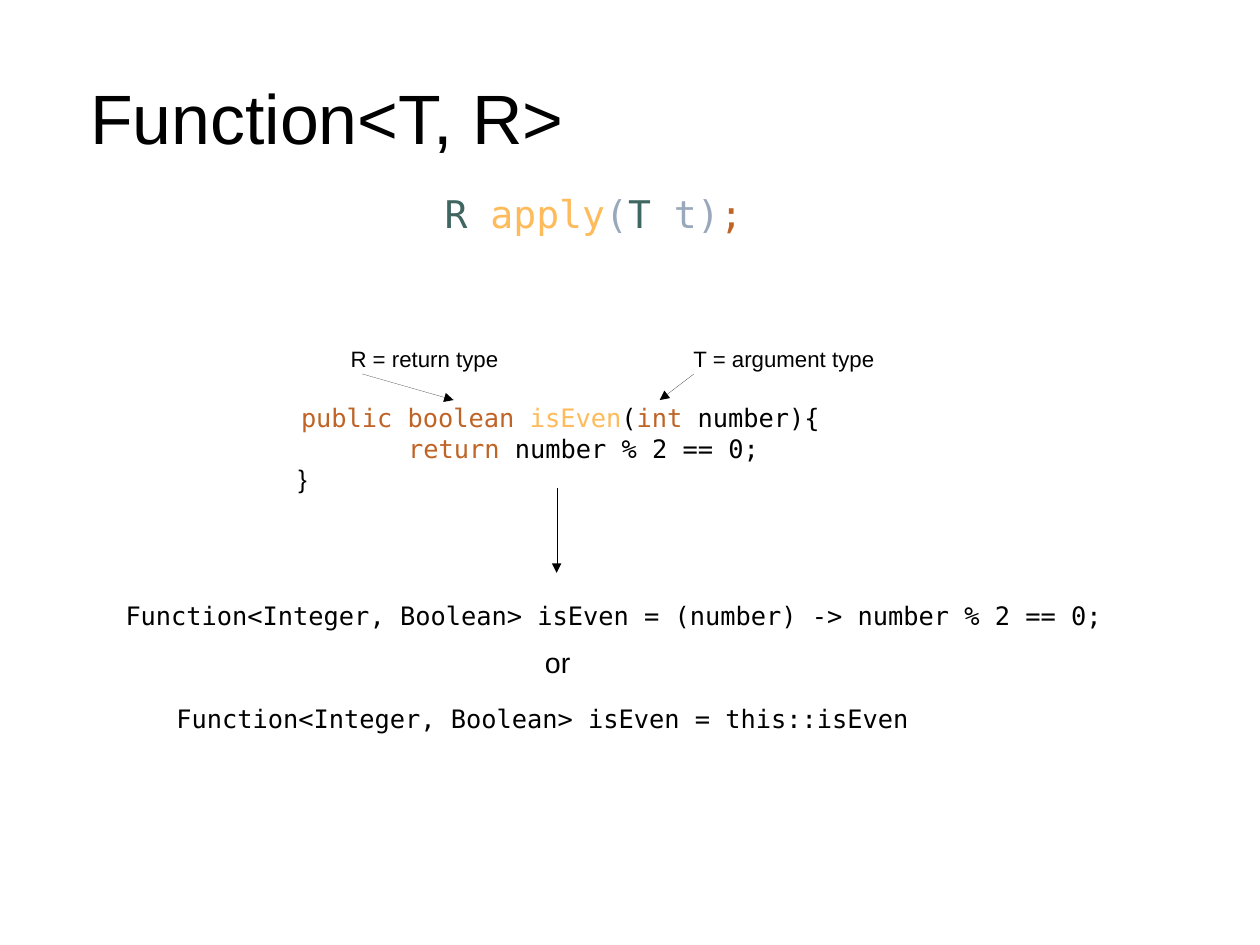
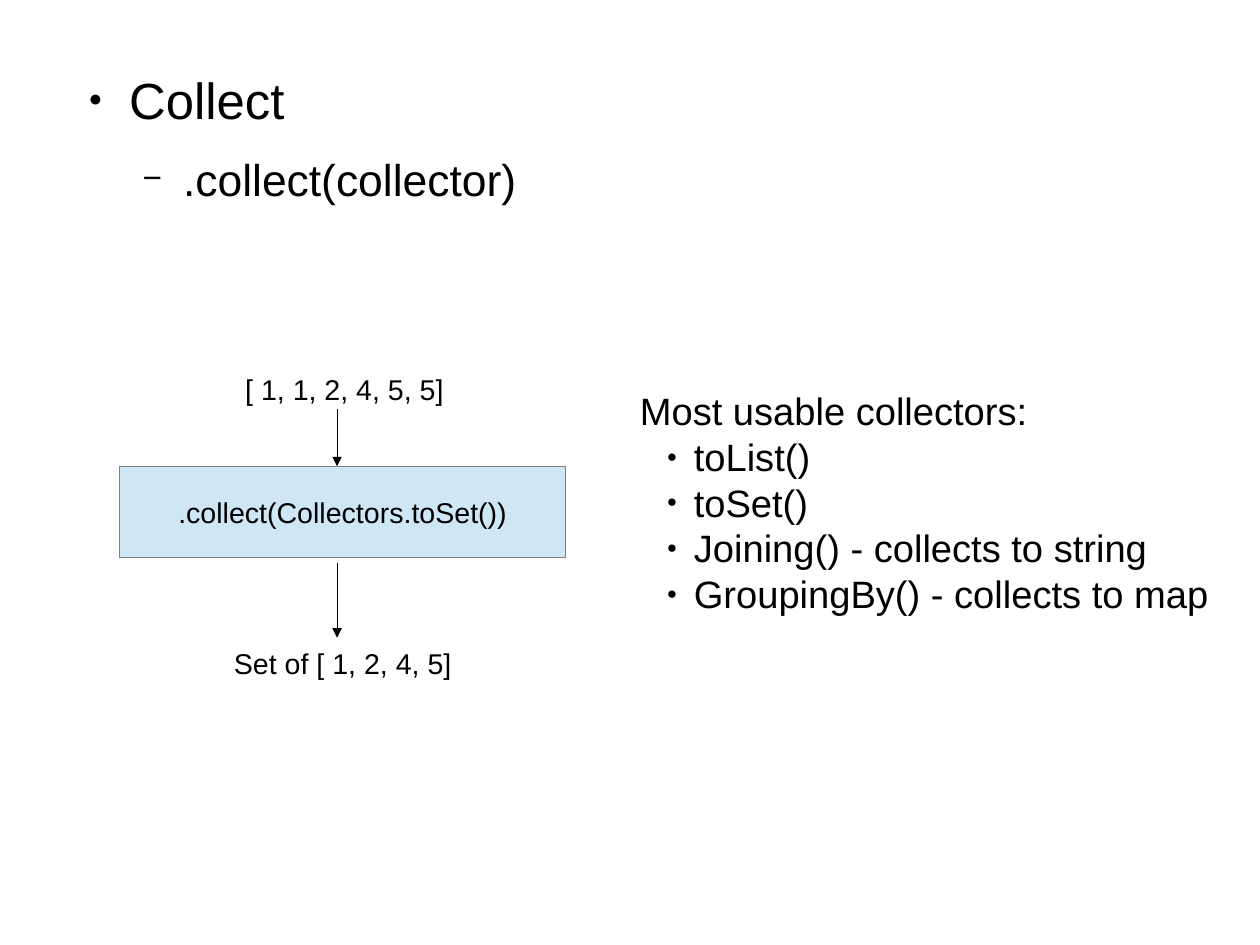
from dataclasses import dataclass

from lxml.etree import SubElement
from pptx import Presentation
from pptx.dml.color import RGBColor
from pptx.enum.shapes import MSO_CONNECTOR, MSO_SHAPE
from pptx.enum.text import MSO_ANCHOR, MSO_AUTO_SIZE, PP_ALIGN
from pptx.oxml.ns import qn
from pptx.util import Cm, Pt


@dataclass(frozen=True)
class Theme:
    sans: str = "Arial"
    mono: str = "DejaVu Sans Mono"
    black: str = "000000"
    type_name: str = "406661"
    method: str = "FEBB5B"
    argument: str = "99A8BA"
    keyword: str = "BF6426"
    box_fill: str = "CFE7F5"
    box_line: str = "808080"
    title: int = 44
    heading: int = 32
    subheading: int = 28
    large: int = 24
    normal: int = 18
    code: int = 16
    label: int = 14


theme = Theme()


@dataclass(frozen=True)
class Line:
    """One paragraph: spans are (text, colour) pairs, lengths are in cm."""
    spans: tuple
    size: int
    font: str = theme.sans
    left: float = 0
    hanging: float = 0
    bullet: str = ""
    bullet_size: int = 45
    level: int = 0
    after: float = 0
    align: PP_ALIGN = PP_ALIGN.LEFT


def write(frame, lines):
    frame.word_wrap = True
    for index, line in enumerate(lines):
        para = frame.paragraphs[0] if index == 0 else frame.add_paragraph()
        para.level = line.level
        para.alignment = line.align
        para.space_before = Pt(0)
        para.space_after = Pt(line.after)
        properties = para._p.get_or_add_pPr()
        properties.set("marL", str(Cm(line.left)))
        properties.set("indent", str(Cm(-line.hanging)))
        if line.bullet:
            colour = SubElement(properties, qn("a:buClr"))
            SubElement(colour, qn("a:srgbClr"), val=theme.black)
            SubElement(properties, qn("a:buSzPct"), val=str(line.bullet_size * 1000))
            SubElement(properties, qn("a:buFont"), typeface=theme.sans)
            SubElement(properties, qn("a:buChar"), char=line.bullet)
        for text, colour in line.spans:
            span = para.add_run()
            span.text = text
            span.font.name = line.font
            span.font.size = Pt(line.size)
            span.font.color.rgb = RGBColor.from_string(colour)


def add_arrow(page, *ends):
    """Draw a hairline arrow; ends are start x, start y, end x, end y in cm."""
    arrow = page.shapes.add_connector(MSO_CONNECTOR.STRAIGHT, *map(Cm, ends))
    arrow.line.color.rgb = RGBColor.from_string(theme.black)
    outline = arrow.line._get_or_add_ln()
    outline.set("w", "0")  # a zero set through line.width is left out of the file
    SubElement(outline, qn("a:tailEnd"), type="triangle")
    SubElement(arrow._element.spPr, qn("a:effectLst"))


deck = Presentation()
deck.slide_width, deck.slide_height = Cm(28), Cm(21)
content_layout, title_layout = deck.slide_layouts[1], deck.slide_layouts[5]
function_page = deck.slides.add_slide(title_layout)
collect_page = deck.slides.add_slide(content_layout)
title = function_page.shapes.title
unused_title = collect_page.shapes.title._element
unused_title.getparent().remove(unused_title)
outline = collect_page.placeholders[1]

# Placeholders
placeholders = [
    (title, (1.4, 0.84, 25.2, 3.5), MSO_ANCHOR.MIDDLE, [
        Line((("Function<T, R>", theme.black),), theme.title, left=0.6),
    ]),
    (outline, (1.68, 1.52, 21.44, 4.52), MSO_ANCHOR.TOP, [
        Line((("Collect", theme.black),), theme.heading,
             left=1.19, hanging=0.9, bullet="●", after=14.1),
        Line(((".collect(collector)", theme.black),), theme.subheading,
             left=2.39, hanging=0.9, bullet="−", bullet_size=75, level=1, after=11.3),
    ]),
]
for holder, place, anchor, lines in placeholders:
    holder.left, holder.top, holder.width, holder.height = map(Cm, place)
    frame = holder.text_frame
    frame.margin_left = frame.margin_right = frame.margin_top = frame.margin_bottom = 0
    frame.vertical_anchor = anchor
    frame.auto_size = MSO_AUTO_SIZE.NONE
    write(frame, lines)

# Text boxes
signature = Line((
    ("R ", theme.type_name), ("apply", theme.method), ("(", theme.argument),
    ("T ", theme.type_name), ("t)", theme.argument), (";", theme.keyword),
), theme.large, theme.mono)
method_code = [
    Line((
        ("public boolean ", theme.keyword), ("isEven", theme.method), ("(", theme.black),
        ("int ", theme.keyword), ("number){", theme.black),
    ), theme.code, theme.mono, left=0.67),
    Line((("return ", theme.keyword), ("number % 2 == 0;", theme.black)),
         theme.code, theme.mono, left=3.05),
    Line((("}", theme.black),), theme.code, left=0.61),
]
collectors = [Line((("Most usable collectors:", theme.black),), theme.large)]
for name in ("toList()", "toSet()", "Joining() - collects to string",
             "GroupingBy() - collects to map"):
    collectors.append(Line(((name, theme.black),), theme.large,
                           left=1.2, hanging=0.6, bullet="●", level=1))

text_boxes = [
    (function_page, (9.63, 4.1, 7.3, 1.4), [signature]),
    (function_page, (5.77, 8.82, 13, 2.41), method_code),
    (collect_page, (13.97, 8.49, 13.4, 4.98), collectors),
]
single_lines = [
    (function_page, (7.54, 7.54, 4.83, 1.02), "R = return type", theme.label, theme.sans),
    (function_page, (15.16, 7.54, 4.83, 1.02), "T = argument type", theme.label, theme.sans),
    (function_page, (2.54, 13.21, 22.8, 1.02),
     "Function<Integer, Boolean> isEven = (number) -> number % 2 == 0;", theme.code, theme.mono),
    (function_page, (11.86, 14.2, 1.2, 0.97), "or", theme.normal, theme.sans),
    (function_page, (3.67, 15.49, 22.8, 1.02),
     "Function<Integer, Boolean> isEven = this::isEven", theme.code, theme.mono),
    (collect_page, (5.2, 8.13, 5.1, 0.97), "[ 1, 1, 2, 4, 5, 5]", theme.normal, theme.sans),
    (collect_page, (4.95, 14.22, 5.6, 0.97), "Set of [ 1, 2, 4, 5]", theme.normal, theme.sans),
]
for page, place, text, size, font in single_lines:
    text_boxes.append((page, place, [Line(((text, theme.black),), size, font)]))
for page, place, lines in text_boxes:
    box = page.shapes.add_textbox(*map(Cm, place))
    write(box.text_frame, lines)

# Collector step
step = collect_page.shapes.add_shape(
    MSO_SHAPE.RECTANGLE, Cm(2.66), Cm(10.36), Cm(9.91), Cm(2.03))
step.shadow.inherit = False
step.fill.solid()
step.fill.fore_color.rgb = RGBColor.from_string(theme.box_fill)
step.line.color.rgb = RGBColor.from_string(theme.box_line)
step.line._get_or_add_ln().set("w", "0")
step.text_frame.vertical_anchor = MSO_ANCHOR.MIDDLE
write(step.text_frame, [Line(((".collect(Collectors.toSet())", theme.black),),
                             theme.normal, align=PP_ALIGN.CENTER)])

# Arrows
flow_x = 7.49
for page, *ends in (
    (function_page, 8.05, 8.31, 10.08, 8.89),
    (function_page, 15.42, 8.31, 14.66, 8.89),
    (function_page, 12.37, 10.85, 12.37, 12.73),
    (collect_page, flow_x, 9.09, flow_x, 10.36),
    (collect_page, flow_x, 12.5, flow_x, 14.17),
):
    add_arrow(page, *ends)

deck.save("out.pptx")
